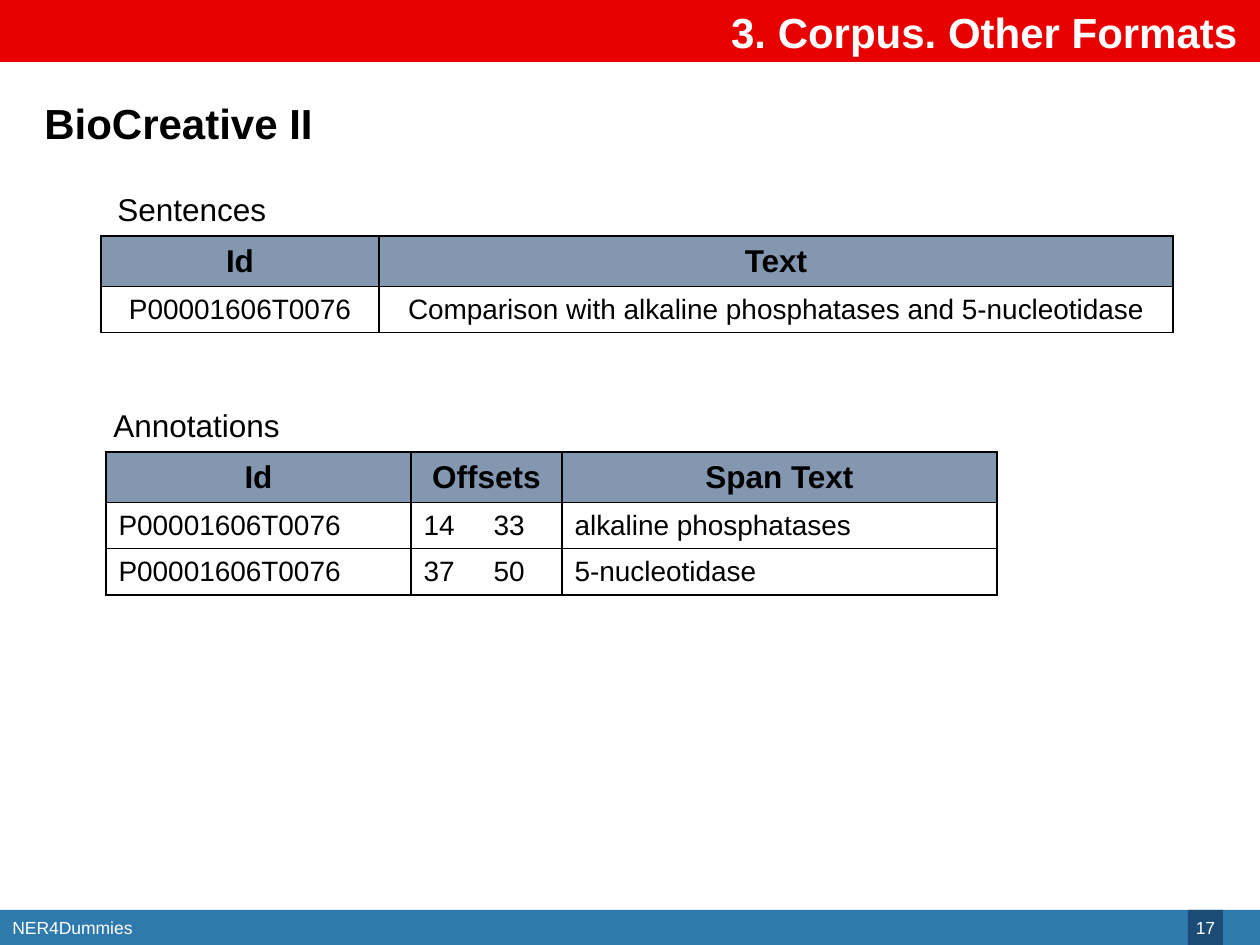
from lxml import etree
from pptx import Presentation
from pptx.dml.color import RGBColor
from pptx.enum.shapes import MSO_SHAPE
from pptx.enum.text import MSO_ANCHOR, PP_ALIGN
from pptx.oxml.ns import qn
from pptx.util import Emu, Pt

RECTANGLE = MSO_SHAPE.RECTANGLE
TOP, MIDDLE = MSO_ANCHOR.TOP, MSO_ANCHOR.MIDDLE
LEFT, CENTER, RIGHT, JUSTIFY = PP_ALIGN.LEFT, PP_ALIGN.CENTER, PP_ALIGN.RIGHT, PP_ALIGN.JUSTIFY

BLACK = RGBColor(0x00, 0x00, 0x00)
WHITE = RGBColor(0xFF, 0xFF, 0xFF)
RED = RGBColor(0xE8, 0x00, 0x00)
BLUE = RGBColor(0x2F, 0x7A, 0xAD)
NAVY = RGBColor(0x1C, 0x4C, 0x76)
SLATE = RGBColor(0x84, 0x97, 0xB0)

FONT = "Arial"
PAGE_WIDTH, PAGE_HEIGHT = 1260, 945
HEADER_ROW, BODY_ROW = 50, 46
OFFSET_TAB = 70


def px(length):
    return Emu(round(length * 914400 / 126))


def write(para, text, size, color=BLACK, bold=False, align=LEFT):
    para.text = text
    para.alignment = align
    font = para.font
    font.name, font.size, font.bold = FONT, Pt(size), bold
    font.color.rgb = color


def add_label(page, box, text, size, color=BLACK, bold=False, align=LEFT, anchor=TOP):
    frame = page.shapes.add_textbox(*map(px, box)).text_frame
    frame.word_wrap = True
    frame.vertical_anchor = anchor
    write(frame.paragraphs[0], text, size, color, bold, align)


def add_block(page, box, color):
    block = page.shapes.add_shape(RECTANGLE, *map(px, box))
    block.shadow.inherit = False
    block.fill.solid()
    block.fill.fore_color.rgb = color
    block.line.fill.background()
    return block


def add_header(page, box, title):
    left, top, width, height = box
    add_block(page, box, RED)
    add_label(page, (left + 179, top + 12, width - 189, height - 21), title, 24,
              WHITE, True, RIGHT, MIDDLE)


def add_footer(page, box, name, number):
    left, top, width, height = box
    add_block(page, box, BLUE)
    add_label(page, (left, top, 564, height), name, 10, WHITE, anchor=MIDDLE)
    badge = add_block(page, (left + width - 72, top, height, height), NAVY)
    frame = badge.text_frame
    frame.margin_left = frame.margin_right = px(5)
    frame.margin_top = frame.margin_bottom = px(5)
    frame.vertical_anchor = MIDDLE
    write(frame.paragraphs[0], number, 10, WHITE, align=CENTER)


def add_borders(cell):
    properties = cell._tc.get_or_add_tcPr()
    for side in ("a:lnL", "a:lnR", "a:lnT", "a:lnB"):
        line = etree.SubElement(properties, qn(side), w=str(Pt(1)))
        fill = etree.SubElement(line, qn("a:solidFill"))
        etree.SubElement(fill, qn("a:srgbClr"), val=str(BLACK))


def add_tab_stop(para, position):
    stops = etree.SubElement(para._p.get_or_add_pPr(), qn("a:tabLst"))
    etree.SubElement(stops, qn("a:tab"), pos=str(px(position)), algn="l")


def add_grid(page, left, top, widths, rows, body_align):
    heights = [HEADER_ROW] + [BODY_ROW] * (len(rows) - 1)
    box = (left, top, sum(widths), sum(heights))
    table = page.shapes.add_table(len(rows), len(widths), *map(px, box)).table
    table.first_row = table.horz_banding = False
    for column, width in zip(table.columns, widths):
        column.width = px(width)
    for index, (row, height, texts) in enumerate(zip(table.rows, heights, rows)):
        row.height = px(height)
        header = index == 0
        for cell, text in zip(row.cells, texts):
            add_borders(cell)
            if header:
                cell.fill.solid()
                cell.fill.fore_color.rgb = SLATE
            else:
                cell.fill.background()
            cell.vertical_anchor = MIDDLE
            para = cell.text_frame.paragraphs[0]
            if "\t" in text:
                add_tab_stop(para, OFFSET_TAB)
            write(para, text, 18 if header else 16, bold=header,
                  align=CENTER if header else body_align)


def main():
    deck = Presentation()
    deck.slide_width, deck.slide_height = px(PAGE_WIDTH), px(PAGE_HEIGHT)
    page = deck.slides.add_slide(deck.slide_layouts[6])

    add_footer(page, (0, 910, PAGE_WIDTH, 35), "NER4Dummies", "17")
    add_header(page, (0, -1, PAGE_WIDTH, 63), "3. Corpus. Other Formats")
    add_label(page, (32, 91, 1157, 63), "BioCreative II", 24, bold=True)

    add_label(page, (105, 184, 183, 50), "Sentences", 18)
    add_grid(page, 101, 236, (278, 794), (
        ("Id", "Text"),
        ("P00001606T0076", "Comparison with alkaline phosphatases and 5-nucleotidase"),
    ), CENTER)

    add_label(page, (101, 400, 242, 50), "Annotations", 18)
    add_grid(page, 106, 452, (305, 151, 435), (
        ("Id", "Offsets", "Span Text"),
        ("P00001606T0076", "14\t33", "alkaline phosphatases"),
        ("P00001606T0076", "37\t50", "5-nucleotidase"),
    ), JUSTIFY)

    deck.save("out.pptx")


if __name__ == "__main__":
    main()
